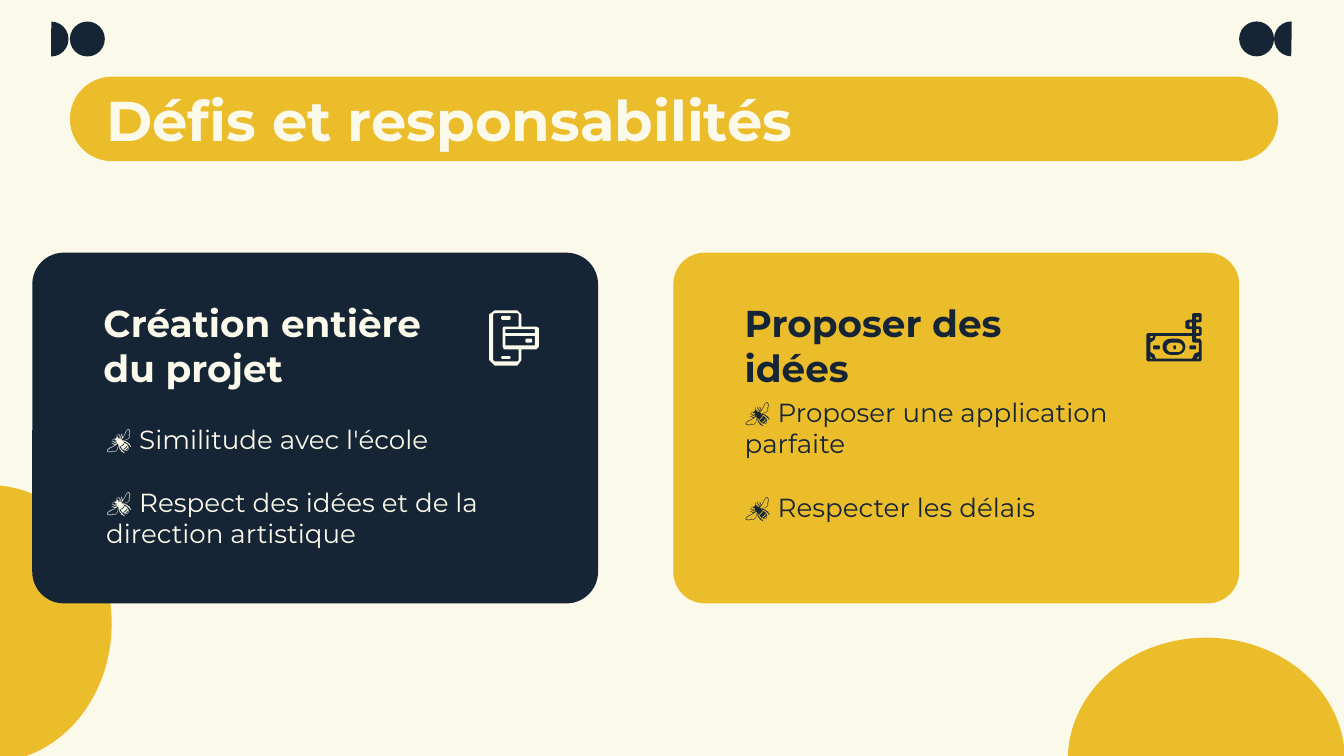
from dataclasses import dataclass
from math import cos, pi, sin

from pptx import Presentation
from pptx import util as u
from pptx.dml.color import RGBColor
from pptx.enum import shapes, text


@dataclass(frozen=True)
class Theme:
    cream: str = "FBF9EA"
    navy: str = "162535"
    honey: str = "ECBD2A"
    font: str = "Montserrat"
    title_size: int = 30
    heading_size: int = 20
    body_size: int = 14
    item_gap: int = 17


THEME = Theme()
WIDTH = 10
HEIGHT = WIDTH * 9 / 16
PIE, OVAL, ROUNDED = (
    shapes.MSO_SHAPE.PIE,
    shapes.MSO_SHAPE.OVAL,
    shapes.MSO_SHAPE.ROUNDED_RECTANGLE,
)
HALF_DISC = (54.58, 162)
CARD_LEFT, CARD_STEP, CARD_TOP = 0.24, 4.77, 1.88
CARD_WIDTH, CARD_HEIGHT = 4.21, 2.61


def box(*lengths):
    return [u.Inches(length) for length in lengths]


def paint(shape, color):
    shape.shadow.inherit = False
    shape.fill.solid()
    shape.fill.fore_color.rgb = RGBColor.from_string(color)
    shape.line.fill.background()


def add_block(parent, kind, place, color, adjustments=(), rotation=0):
    block = parent.add_shape(kind, *box(*place))
    paint(block, color)
    block.rotation = rotation
    for index, value in enumerate(adjustments):
        block.adjustments[index] = value


def add_corner_mark(slide, half_left, disc_left, rotation):
    mark = slide.shapes.add_group_shape().shapes
    for kind, left, adjustments in ((PIE, half_left, HALF_DISC), (OVAL, disc_left, ())):
        add_block(mark, kind, (left, 0.16, 0.26, 0.26), THEME.navy, adjustments, rotation)


def write(frame, lines, size, color, bold=False, anchor=text.MSO_ANCHOR.MIDDLE, inset=0):
    frame.text = "\n".join(lines)
    frame.word_wrap = True
    frame.auto_size = text.MSO_AUTO_SIZE.NONE
    frame.vertical_anchor = anchor
    frame.margin_left = frame.margin_right = 0
    frame.margin_top = frame.margin_bottom = u.Inches(inset)
    for index, paragraph in enumerate(frame.paragraphs):
        paragraph.alignment = text.PP_ALIGN.LEFT
        paragraph.space_before = u.Pt(THEME.item_gap if index else 0)
        for run in paragraph.runs:
            run.font.name = THEME.font
            run.font.size = u.Pt(size)
            run.font.bold = bold
            run.font.color.rgb = RGBColor.from_string(color)


def add_title(slide, wording):
    title = slide.shapes.title
    title.left, title.top, title.width, title.height = box(0.79, 0.57, 8.43, 0.63)
    write(title.text_frame, [wording], THEME.title_size, THEME.cream, True)
    title.element.getparent().append(title.element)


def add_card_text(slide, column, heading, heading_width, items, body_place, color):
    left = CARD_LEFT + column * CARD_STEP
    label = slide.shapes.add_textbox(*box(left + 0.53, 2.42, heading_width, 0.3))
    write(label.text_frame, [heading], THEME.heading_size, color, True)
    body = slide.shapes.add_textbox(*box(*body_place, 3.15, 1.1))
    write(body.text_frame, items, THEME.body_size, color,
          anchor=text.MSO_ANCHOR.TOP, inset=0.1)


def rounded(left, top, right, bottom, radius=1, steps=6):
    corners = (
        (right - radius, bottom - radius),
        (left + radius, bottom - radius),
        (left + radius, top + radius),
        (right - radius, top + radius),
    )
    return [
        (x + radius * cos(angle), y + radius * sin(angle))
        for quarter, (x, y) in enumerate(corners)
        for angle in (pi / 2 * (quarter + step / steps) for step in range(steps + 1))
    ]


def rectangle(left, top, right, bottom):
    return [(left, top), (right, top), (right, bottom), (left, bottom)]


def add_icon(slide, left, top, parts, color):
    icon = slide.shapes.add_group_shape().shapes
    unit = u.Inches(0.01)
    for contours in parts:
        scaled = [[(x * unit, y * unit) for x, y in contour] for contour in contours]
        pen = icon.build_freeform(*scaled[0][0])
        pen.add_line_segments(scaled[0][1:])
        for hole in scaled[1:]:
            pen.move_to(*hole[0])
            pen.add_line_segments(hole[1:])
        paint(pen.convert_to_shape(*box(left, top)), color)


def banknote():
    outline = [
        (35, 0), (34, 1), (34, 5), (31, 5), (29, 6), (29, 11), (31, 12), (34, 12),
        (34, 15), (1, 15), (0, 16), (0, 35), (1, 36), (40, 36), (41, 35), (41, 21),
        (40, 19), (37, 19), (37, 17), (40, 17), (41, 16), (41, 11), (40, 10),
        (37, 10), (37, 7), (40, 7), (41, 6), (41, 1), (40, 0),
    ]
    field = [
        (34, 17), (34, 21), (35, 22), (39, 22), (39, 29), (36, 30), (34, 34),
        (7, 34), (6, 31), (3, 29), (3, 22), (6, 20), (7, 17),
    ]
    corners = [
        [(5, 17), (5, 18), (3, 19), (3, 17)],
        [(39, 32), (39, 34), (37, 34)],
        [(3, 32), (5, 34), (3, 34)],
    ]
    pixels = [rectangle(37, 3, 39, 5), rectangle(32, 7, 34, 10), rectangle(37, 12, 39, 15)]
    return [
        [rounded(20, 24, 22, 27)],
        [rounded(12, 19, 29, 31, 6), rounded(15, 22, 27, 29, 3.5)],
        [rounded(5, 24, 10, 27)],
        [rounded(32, 24, 37, 27)],
        [outline, field, *corners, *pixels],
    ]


def phone_payment():
    outline = [
        (4, 0), (21, 0), (24, 3), (24, 12), (35, 12), (37, 13), (37, 27), (35, 29),
        (24, 29), (24, 37), (21, 41), (4, 41), (0, 37), (0, 3),
    ]
    screen = [
        (21, 2), (22, 3), (22, 12), (11, 12), (10, 13), (10, 27), (11, 29),
        (22, 29), (22, 37), (21, 38), (4, 38), (3, 37), (3, 3), (4, 2),
    ]
    return [
        [outline, screen, rectangle(12, 14, 34, 17), rectangle(12, 19, 34, 26)],
        [rounded(9, 34, 16, 36)],
        [rounded(9, 4, 16, 7)],
        [rounded(27, 21, 32, 24)],
    ]


def main():
    deck = Presentation()
    deck.slide_width, deck.slide_height = box(WIDTH, HEIGHT)
    slide = deck.slides.add_slide(deck.slide_layouts[5])
    slide.background.fill.solid()
    slide.background.fill.fore_color.rgb = RGBColor.from_string(THEME.cream)

    add_corner_mark(slide, 0.25, 0.52, 180)
    add_corner_mark(slide, 9.48, 9.22, 0)
    for place, rotation in (((-0.97, 3.61, 1.8, 2.06), 180), ((8.07, 4.62, 1.81, 2.06), 90)):
        add_block(slide.shapes, PIE, place, THEME.honey, HALF_DISC, rotation)

    add_block(slide.shapes, ROUNDED, (0.52, 0.57, 8.99, 0.63), THEME.honey, (0.5,))
    for column, color in enumerate((THEME.navy, THEME.honey)):
        place = (CARD_LEFT + column * CARD_STEP, CARD_TOP, CARD_WIDTH, CARD_HEIGHT)
        add_block(slide.shapes, ROUNDED, place, color, (0.09,))

    add_title(slide, "Défis et responsabilités")
    add_card_text(slide, 1, "Proposer des idées", 2.31,
                  ["🐝 Proposer une application parfaite", "🐝 Respecter les délais"],
                  (5.54, 2.85), THEME.navy)
    add_card_text(slide, 0, "Création entière du projet", 2.6,
                  ["🐝 Similitude avec l'école",
                   "🐝 Respect des idées et de la direction artistique"],
                  (0.79, 3.05), THEME.cream)
    add_icon(slide, 8.53, 2.33, banknote(), THEME.navy)
    add_icon(slide, 3.64, 2.31, phone_payment(), THEME.cream)
    deck.save("out.pptx")


if __name__ == "__main__":
    main()
